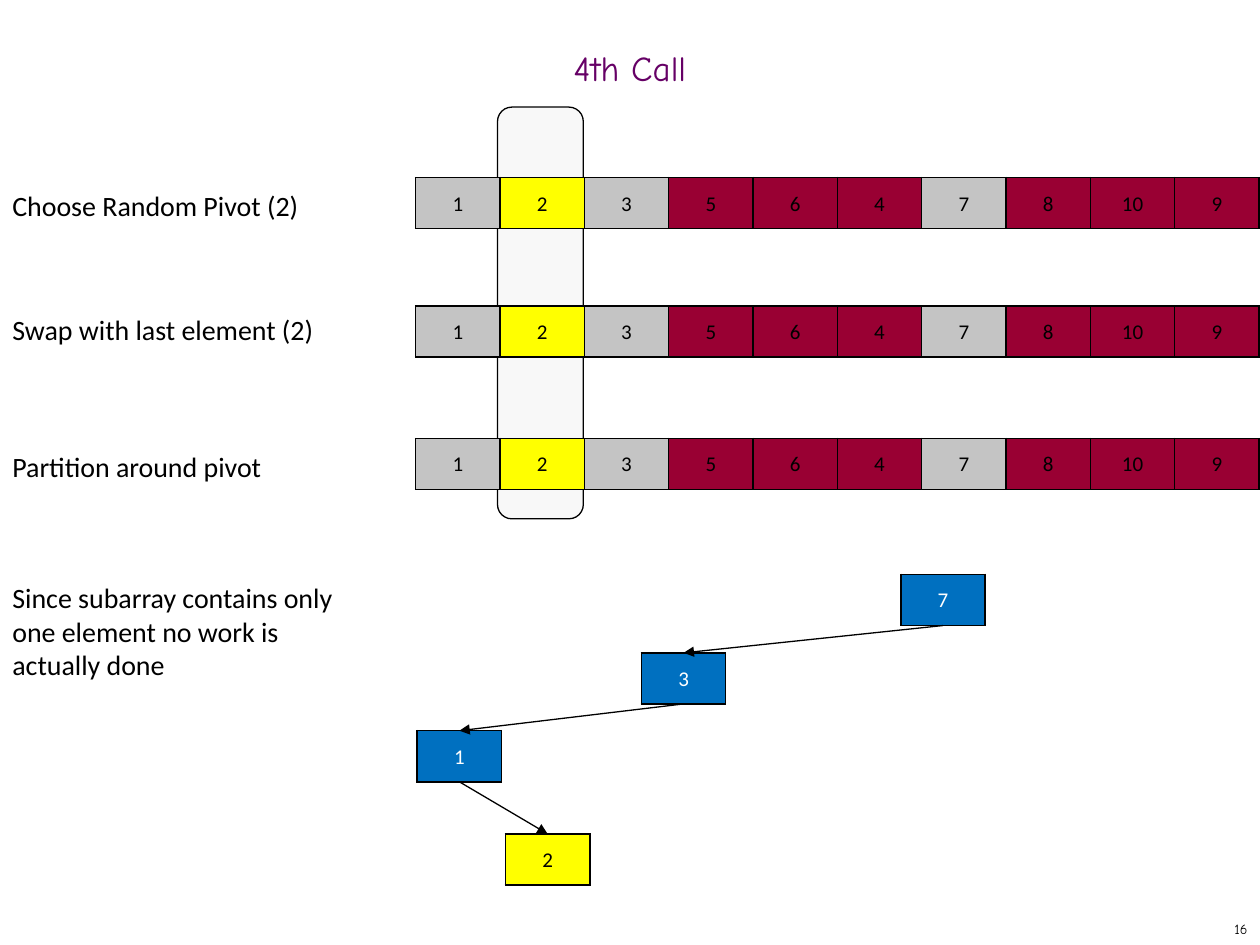
import pptx
import pptx.dml.color
import pptx.enum.shapes
import pptx.enum.text
import pptx.oxml
import pptx.oxml.ns
import pptx.util
from lxml import etree

Cm, Pt = pptx.util.Cm, pptx.util.Pt
Align, Anchor = pptx.enum.text.PP_ALIGN, pptx.enum.text.MSO_ANCHOR
qn = pptx.oxml.ns.qn

BLACK, WHITE = "000000", "FFFFFF"
GREY, YELLOW, RED, BLUE = "C4C4C4", "FFFF00", "990033", "0070C0"
BODY, HAND = "Calibri", "Comic Neue"

TITLE = "4th Call"
PAGE_NUMBER = "16"
STEPS = [
    ("Choose Random Pivot (2)", 3.68, 3.58),
    ("Swap with last element (2)", 6.17, 6.17),
    ("Partition around pivot", 8.94, 8.84),
]
CONCLUSION = "Since subarray contains only one element no work is actually done"
ARRAY = [1, 2, 3, 5, 6, 4, 7, 8, 10, 9]
PIVOT, PLACED = 2, {1, 3, 7}
TREE = [
    (7, 18.16, 11.58),
    (3, 12.93, 13.16),
    (1, 8.41, 14.73),
    (2, 10.19, 16.81),
]
ARRAY_LEFT, CELL_W, CELL_H = 8.38, 1.7, 1.03


def rgb(color):
    return pptx.dml.color.RGBColor.from_string(color)


def write(frame, text, size, font, color, align=Align.LEFT):
    paragraph = frame.paragraphs[0]
    paragraph.text = text
    paragraph.alignment = align
    style = {"size": Pt(size), "name": font, "bold": False}
    for key, value in style.items():
        setattr(paragraph.font, key, value)
    paragraph.font.color.rgb = rgb(color)
    return paragraph


def add_label(slide, text, top, width, height):
    label = slide.shapes.add_textbox(0, Cm(top), Cm(width), Cm(height))
    label.text_frame.word_wrap = True
    write(label.text_frame, text, 16, BODY, BLACK)


def add_border(cell, side):
    border = etree.SubElement(cell._tc.get_or_add_tcPr(), qn(f"a:ln{side}"), w=str(Pt(1)))
    fill = etree.SubElement(border, qn("a:solidFill"))
    etree.SubElement(fill, qn("a:srgbClr"), val=BLACK)


def add_cell(slide, value, left, top, fill, color=BLACK):
    table = slide.shapes.add_table(1, 1, Cm(left), Cm(top), Cm(CELL_W), Cm(CELL_H)).table
    table.first_row = table.horz_banding = False
    cell = table.cell(0, 0)
    layout = {"margin_left": Cm(0.03), "margin_right": Cm(0.03), "margin_top": Cm(0.03),
              "margin_bottom": 0, "vertical_anchor": Anchor.MIDDLE}
    for key, setting in layout.items():
        setattr(cell, key, setting)
    for side in "LRTB":
        add_border(cell, side)
    cell.fill.solid()
    cell.fill.fore_color.rgb = rgb(fill)
    write(cell.text_frame, str(value), 12, BODY, color, Align.CENTER)


def add_arrow(slide, parent, child):
    _, start_left, start_top = parent
    _, end_left, end_top = child
    arrow = slide.shapes.add_connector(
        pptx.enum.shapes.MSO_CONNECTOR.STRAIGHT,
        Cm(start_left + CELL_W / 2), Cm(start_top + CELL_H),
        Cm(end_left + CELL_W / 2), Cm(end_top))
    arrow.line.width = Pt(0.75)
    arrow.line.color.rgb = rgb(BLACK)
    etree.SubElement(arrow.line._get_or_add_ln(), qn("a:tailEnd"), type="triangle")
    etree.SubElement(arrow._element.spPr, qn("a:effectLst"))


def add_pivot_band(slide):
    band = slide.shapes.add_shape(pptx.enum.shapes.MSO_SHAPE.ROUNDED_RECTANGLE,
                                  Cm(10.03), Cm(2.16), Cm(1.73), Cm(8.3))
    band.shadow.inherit = False
    band.fill.solid()
    band.fill.fore_color.rgb = rgb("C0C0C0")
    shade = band._element.spPr.find(qn("a:solidFill"))[0]
    etree.SubElement(shade, qn("a:alpha"), val="10000")
    band.line.color.rgb = rgb(BLACK)
    band.line.width = Pt(0.75)


def array_fill(value):
    if value == PIVOT:
        return YELLOW
    return GREY if value in PLACED else RED


def main():
    deck = pptx.Presentation()
    deck.slide_width, deck.slide_height = Cm(25.4), Cm(19.05)
    slide = deck.slides.add_slide(deck.slide_layouts[5])

    title = slide.shapes.title
    place = {"left": 0, "top": Cm(0.84), "width": Cm(25.4), "height": Cm(1.27)}
    for key, value in place.items():
        setattr(title, key, value)
    title.text_frame.vertical_anchor = Anchor.MIDDLE
    write(title.text_frame, TITLE, 20, HAND, "660066", Align.CENTER).line_spacing = 0.7

    number = slide.shapes.add_textbox(Cm(20.12), Cm(18.42), Cm(5.28), Cm(0.63))
    number.text_frame.vertical_anchor = Anchor.MIDDLE
    write(number.text_frame, PAGE_NUMBER, 8, HAND, BLACK, Align.RIGHT)

    for text, label_top, _ in STEPS:
        add_label(slide, text, label_top, 6.65, 0.94)
    add_pivot_band(slide)
    for _, _, row_top in STEPS:
        for column, value in enumerate(ARRAY):
            add_cell(slide, value, ARRAY_LEFT + column * CELL_W, row_top, array_fill(value))

    add_label(slide, CONCLUSION, 11.58, 7.52, 2.31)
    for value, left, top in TREE:
        fill, color = (YELLOW, BLACK) if value == PIVOT else (BLUE, WHITE)
        add_cell(slide, value, left, top, fill, color)
    for parent, child in zip(TREE, TREE[1:]):
        add_arrow(slide, parent, child)

    deck.save("out.pptx")


if __name__ == "__main__":
    main()
